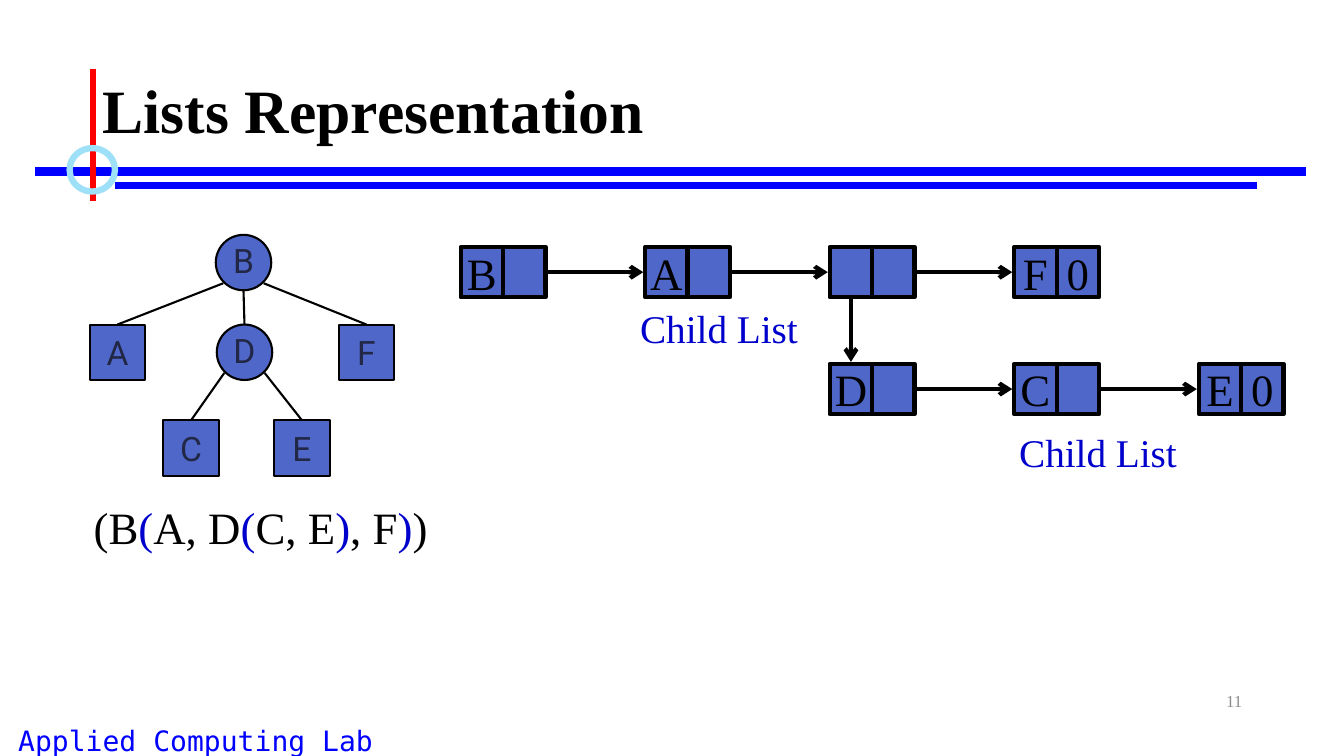
from pptx import Presentation
from pptx.dml.color import RGBColor
from pptx.enum.shapes import MSO_CONNECTOR, MSO_SHAPE
from pptx.enum.text import MSO_ANCHOR, MSO_AUTO_SIZE, PP_ALIGN
from pptx.oxml.ns import qn
from pptx.util import Inches, Pt
from lxml.etree import SubElement

BLACK, BLUE, RED, RING = "000000", "0000FF", "FF0000", "9EE0F8"
NODE_FILL, NODE_TEXT, ACCENT, GRAY = "4E67C8", "212745", "0000CC", "8C8C8C"
SERIF, SANS, MONO = "Times New Roman", "Roboto", "DejaVu Sans Mono"


def color(value):
    """Turn a hex string into a colour."""
    return RGBColor.from_string(value)


def write_text(shape, runs, size=32, font=SERIF, fill=BLACK, bold=False,
               align=PP_ALIGN.LEFT, anchor=MSO_ANCHOR.TOP, wrap=False,
               spacing=None, bottom=None):
    """Write a string, or a list of (text, colour) runs, into a shape."""
    frame = shape.text_frame
    frame.word_wrap = wrap
    frame.auto_size = MSO_AUTO_SIZE.NONE
    frame.vertical_anchor = anchor
    if bottom is not None:
        frame.margin_left = frame.margin_right = frame.margin_top = 0
        frame.margin_bottom = Inches(bottom)
    paragraph = frame.paragraphs[0]
    paragraph.alignment = align
    if spacing:
        paragraph.line_spacing = spacing
    for text, run_fill in [(runs, fill)] if isinstance(runs, str) else runs:
        run = paragraph.add_run()
        run.text = text
        run.font.size = Pt(size)
        run.font.name = font
        run.font.bold = bold
        run.font.color.rgb = color(run_fill)


def add_text(slide, box, runs, **text_format):
    """Add a text box at (left, top, width, height)."""
    text_box = slide.shapes.add_textbox(*map(Inches, box))
    write_text(text_box, runs, **text_format)


def add_figure(slide, kind, box, width, line=BLACK, fill=None):
    """Add an outlined preset shape."""
    shape = slide.shapes.add_shape(kind, *map(Inches, box))
    shape.shadow.inherit = False
    shape.line.color.rgb = color(line)
    shape.line.width = Pt(width)
    if fill:
        shape.fill.solid()
        shape.fill.fore_color.rgb = color(fill)
    else:
        shape.fill.background()
    return shape


def add_line(slide, start, end, width, fill=BLACK, arrow=False):
    """Add a straight line, with an arrowhead at its end if asked."""
    connector = slide.shapes.add_connector(
        MSO_CONNECTOR.STRAIGHT, *map(Inches, (*start, *end)))
    connector.line.color.rgb = color(fill)
    connector.line.width = Pt(width)
    properties = connector._element.spPr
    if arrow:
        SubElement(properties.find(qn("a:ln")), qn("a:tailEnd"), type="arrow")
    SubElement(properties, qn("a:effectLst"))


def add_frame(slide, box):
    """Draw the rules, the ring, the footer and the slide number."""
    left, top, width, height = box
    right, bottom = left + width, top + height
    add_text(slide, (left - 0.58, bottom - 0.37, 5.04, 0.43),
             "Applied Computing Lab", size=20, font=MONO, fill=BLUE,
             align=PP_ALIGN.CENTER, wrap=True)
    add_line(slide, (left + 0.35, top + 1.7), (right - 0.38, top + 1.7), 6, BLUE)
    add_line(slide, (left + 1.14, top + 1.84), (right - 0.86, top + 1.84), 4.5, BLUE)
    add_line(slide, (left + 0.92, top + 0.68), (left + 0.92, top + 1.99), 4.5, RED)
    add_figure(slide, MSO_SHAPE.OVAL, (left + 0.69, top + 1.47, 0.45, 0.43), 4.5, RING)
    add_text(slide, (right - 3.91, bottom - 0.75, 3, 0.4), "11", size=12, fill=GRAY,
             align=PP_ALIGN.RIGHT, anchor=MSO_ANCHOR.MIDDLE, wrap=True)


def add_title(slide, box, text):
    """Fill and place the title placeholder."""
    title = slide.shapes.title
    title.left, title.top, title.width, title.height = map(Inches, box)
    write_text(title, text, size=44, bold=True, anchor=MSO_ANCHOR.MIDDLE,
               wrap=True, spacing=0.9)


def add_tree(slide, box):
    """Draw the tree, with circles for parents and squares for leaves."""
    left, top = box[:2]
    side = 0.55
    nodes = {"B": (1.25, 0), "D": (1.26, 0.89), "A": (0, 0.89),
             "C": (0.73, 1.84), "E": (1.83, 1.84), "F": (2.47, 0.89)}
    edges = {"BA": -0.2, "BD": 0, "BF": 0.2, "DC": -0.2, "DE": 0.2}
    for (parent, child), shift in edges.items():
        parent_x, parent_y = nodes[parent]
        child_x, child_y = nodes[child]
        start_y = parent_y + (0.48 if shift else side)
        add_line(slide, (left + parent_x + side / 2 + shift, top + start_y),
                 (left + child_x + side / 2, top + child_y), 1.5)
    parents = {parent for parent, _ in edges}
    for name, (x, y) in nodes.items():
        is_parent = name in parents
        kind = MSO_SHAPE.OVAL if is_parent else MSO_SHAPE.RECTANGLE
        node = add_figure(slide, kind, (left + x, top + y, side, side), 1.5,
                          fill=NODE_FILL)
        write_text(node, name, size=24, font=SANS, fill=NODE_TEXT,
                   align=PP_ALIGN.CENTER, anchor=MSO_ANCHOR.MIDDLE,
                   bottom=0.05 if is_parent else None)


def add_linked_lists(slide, box):
    """Draw the two child lists on a grid of two-cell records."""
    left, top = box[:2]
    pitch, row_pitch, cell_width, cell_height, gap = 1.83, 1.16, 0.42, 0.5, 0.02
    lists = [(0, 0, ["B ", "A ", "  ", "F0"]), (1, 2, ["D ", "C ", "E0"])]
    for row, first, records in lists:
        y = top + row * row_pitch
        for column, record in enumerate(records, first):
            x = left + column * pitch
            for index, value in enumerate(record):
                cell = add_figure(
                    slide, MSO_SHAPE.RECTANGLE,
                    (x + index * cell_width, y, cell_width, cell_height), 3,
                    fill=NODE_FILL)
                if value.strip():
                    write_text(cell, value, align=PP_ALIGN.CENTER,
                               anchor=MSO_ANCHOR.MIDDLE)
            if column > first:
                middle = y + cell_height / 2
                add_line(slide, (x - pitch + 2 * cell_width + gap, middle),
                         (x - gap, middle), 3, arrow=True)
    down = left + 2 * pitch + cell_width / 2
    add_line(slide, (down, top + cell_height + gap),
             (down, top + row_pitch - gap), 3, arrow=True)
    for x, y in [(1.68, 0.52), (5.44, 1.75)]:
        add_text(slide, (left + x, top + y, 1.78, 0.57), "Child List",
                 size=28, fill=ACCENT)


def add_expression(slide, box):
    """Write the nested list, with the inner brackets accented."""
    add_text(slide, box, [
        ("(B", BLACK), ("(", ACCENT), ("A, D", BLACK), ("(", ACCENT),
        ("C, E", BLACK), (")", ACCENT), (", F", BLACK), (")", ACCENT),
        (")", BLACK)])


presentation = Presentation()
presentation.slide_width = Inches(13.33)
presentation.slide_height = Inches(7.5)
slide = presentation.slides.add_slide(presentation.slide_layouts[5])
add_frame(slide, (0, 0, 13.33, 7.5))
add_title(slide, (0.92, 0.4, 11.5, 1.45), "Lists Representation")
add_tree(slide, (0.89, 2.33, 3.02, 2.39))
add_linked_lists(slide, (4.57, 2.45, 8.17, 2.32))
add_expression(slide, (0.83, 4.91, 3.58, 0.63))
presentation.save("out.pptx")
